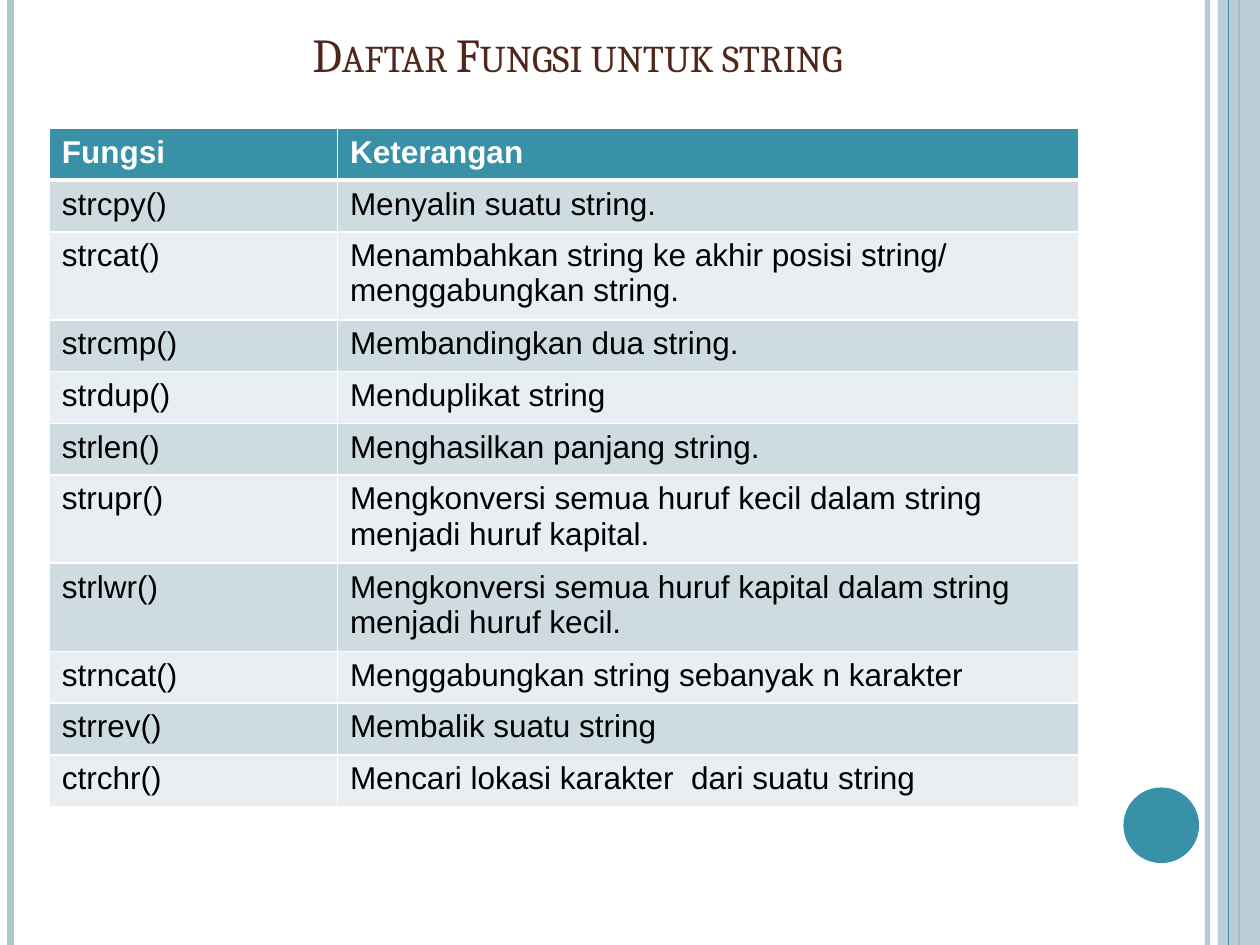
from dataclasses import dataclass

from lxml import etree
from pptx import Presentation
from pptx.dml.color import RGBColor
from pptx.enum.shapes import MSO_CONNECTOR, MSO_SHAPE
from pptx.enum.text import MSO_ANCHOR, PP_ALIGN
from pptx.oxml.ns import qn
from pptx.util import Inches, Pt

STRAIGHT = MSO_CONNECTOR.STRAIGHT
RECTANGLE = MSO_SHAPE.RECTANGLE
OVAL = MSO_SHAPE.OVAL
CENTER = PP_ALIGN.CENTER
BOTTOM = MSO_ANCHOR.BOTTOM

WHITE = RGBColor(0xFF, 0xFF, 0xFF)
BLACK = RGBColor(0x00, 0x00, 0x00)
BROWN = RGBColor(0x4F, 0x27, 0x1C)
TEAL = RGBColor(0x38, 0x91, 0xA7)
PALE_BLUE = RGBColor(0xAF, 0xC7, 0xD0)
BAND_DARK = RGBColor(0xCE, 0xDC, 0xE1)
BAND_LIGHT = RGBColor(0xE8, 0xEE, 0xF1)

GRID_COLUMNS = 120
GRID_ROWS = 90
UNIT = Inches(10) / GRID_COLUMNS
ROW_HEIGHT = 4.92
TALL_ROW_HEIGHT = 7.92
NAME_SHARE = 0.28

HEADER = ("Fungsi", "Keterangan")
FUNCTIONS = [
    ("strcpy()", "Menyalin suatu string."),
    ("strcat()", "Menambahkan string ke akhir posisi string/ menggabungkan string."),
    ("strcmp()", "Membandingkan dua string."),
    ("strdup()", "Menduplikat string"),
    ("strlen()", "Menghasilkan panjang string."),
    ("strupr()", "Mengkonversi semua huruf kecil dalam string menjadi huruf kapital."),
    ("strlwr()", "Mengkonversi semua huruf kapital dalam string menjadi huruf kecil."),
    ("strncat()", "Menggabungkan string sebanyak n karakter"),
    ("strrev()", "Membalik suatu string"),
    ("ctrchr()", "Mencari lokasi karakter  dari suatu string"),
]
TWO_LINE_FUNCTIONS = {"strcat()", "strupr()", "strlwr()"}


@dataclass
class Box:
    left: float
    top: float
    width: float
    height: float

    def emu(self):
        return [grid(n) for n in (self.left, self.top, self.width, self.height)]


def grid(units):
    return int(units * UNIT)


def set_alpha(fill_format_element, percent):
    color = next(fill_format_element.iter(qn("a:srgbClr")))
    etree.SubElement(color, qn("a:alpha"), val=str(percent * 1000))


def add_run(paragraph, text, font, size, color, bold=False):
    run = paragraph.add_run()
    run.text = text
    run.font.name = font
    run.font.size = Pt(size)
    run.font.color.rgb = color
    run.font.bold = bold
    return run


def add_stripe(slide, box, column, color, width, opacity=100):
    x = grid(box.left + column)
    stripe = slide.shapes.add_connector(
        STRAIGHT, x, grid(box.top), x, grid(box.top + box.height))
    stripe.line.color.rgb = color
    stripe.line.width = Pt(width)
    properties = stripe._element.spPr
    if opacity < 100:
        set_alpha(properties, opacity)
    etree.SubElement(properties, qn("a:effectLst"))


def add_plain_shape(slide, kind, box, color, opacity=100):
    shape = slide.shapes.add_shape(kind, *box.emu())
    shape.shadow.inherit = False
    shape.fill.solid()
    shape.fill.fore_color.rgb = color
    shape.line.fill.background()
    if opacity < 100:
        set_alpha(shape._element.spPr, opacity)


def add_frame(slide, box):
    add_stripe(slide, box, 115, PALE_BLUE, 3, 93)
    add_stripe(slide, box, 1, PALE_BLUE, 4.5)
    add_stripe(slide, box, 118, TEAL, 1.5)
    side_band = Box(box.left + 116, box.top, box.width - 116, box.height)
    add_plain_shape(slide, RECTANGLE, side_band, PALE_BLUE, 87)
    add_stripe(slide, box, 117, TEAL, 0.75)
    add_plain_shape(slide, OVAL, Box(box.left + 107, box.top + 75, 7.2, 7.2), TEAL)


def add_title(slide, box):
    text_frame = slide.shapes.add_textbox(*box.emu()).text_frame
    text_frame.word_wrap = True
    text_frame.vertical_anchor = BOTTOM
    paragraph = text_frame.paragraphs[0]
    paragraph.alignment = CENTER
    run = add_run(paragraph, "Daftar Fungsi untuk string", "Cambria", 27, BROWN)
    run.font._element.set("cap", "small")


def add_borders(cell, bottom_width=1, top_width=1):
    properties = cell._tc.get_or_add_tcPr()
    widths = {"a:lnL": 1, "a:lnR": 1, "a:lnT": top_width, "a:lnB": bottom_width}
    for side, width in widths.items():
        line = etree.SubElement(properties, qn(side), w=str(Pt(width)))
        fill = etree.SubElement(line, qn("a:solidFill"))
        etree.SubElement(fill, qn("a:srgbClr"), val=str(WHITE))


def add_function_table(slide, box):
    rows = [HEADER] + FUNCTIONS
    table = slide.shapes.add_table(len(rows), len(HEADER), *box.emu()).table
    table.columns[0].width = grid(box.width * NAME_SHARE)
    table.columns[1].width = grid(box.width * (1 - NAME_SHARE))
    for index, texts in enumerate(rows):
        is_header = index == 0
        is_tall = texts[0] in TWO_LINE_FUNCTIONS
        table.rows[index].height = grid(TALL_ROW_HEIGHT if is_tall else ROW_HEIGHT)
        band = BAND_DARK if index % 2 else BAND_LIGHT
        for cell, text in zip(table.rows[index].cells, texts):
            add_borders(cell, 3 if is_header else 1, 3 if index == 1 else 1)
            cell.fill.solid()
            cell.fill.fore_color.rgb = TEAL if is_header else band
            add_run(cell.text_frame.paragraphs[0], text, "Arial", 18,
                    WHITE if is_header else BLACK, is_header)


def main():
    presentation = Presentation()
    presentation.slide_width = grid(GRID_COLUMNS)
    presentation.slide_height = grid(GRID_ROWS)
    slide = presentation.slides.add_slide(presentation.slide_layouts[6])
    add_frame(slide, Box(0, 0, GRID_COLUMNS, GRID_ROWS))
    add_title(slide, Box(6, 3.6, 98, 4.8))
    table_height = (ROW_HEIGHT * (len(FUNCTIONS) + 1 - len(TWO_LINE_FUNCTIONS))
                    + TALL_ROW_HEIGHT * len(TWO_LINE_FUNCTIONS))
    add_function_table(slide, Box(4.7, 12.24, 98, table_height))
    presentation.save("out.pptx")


if __name__ == "__main__":
    main()
